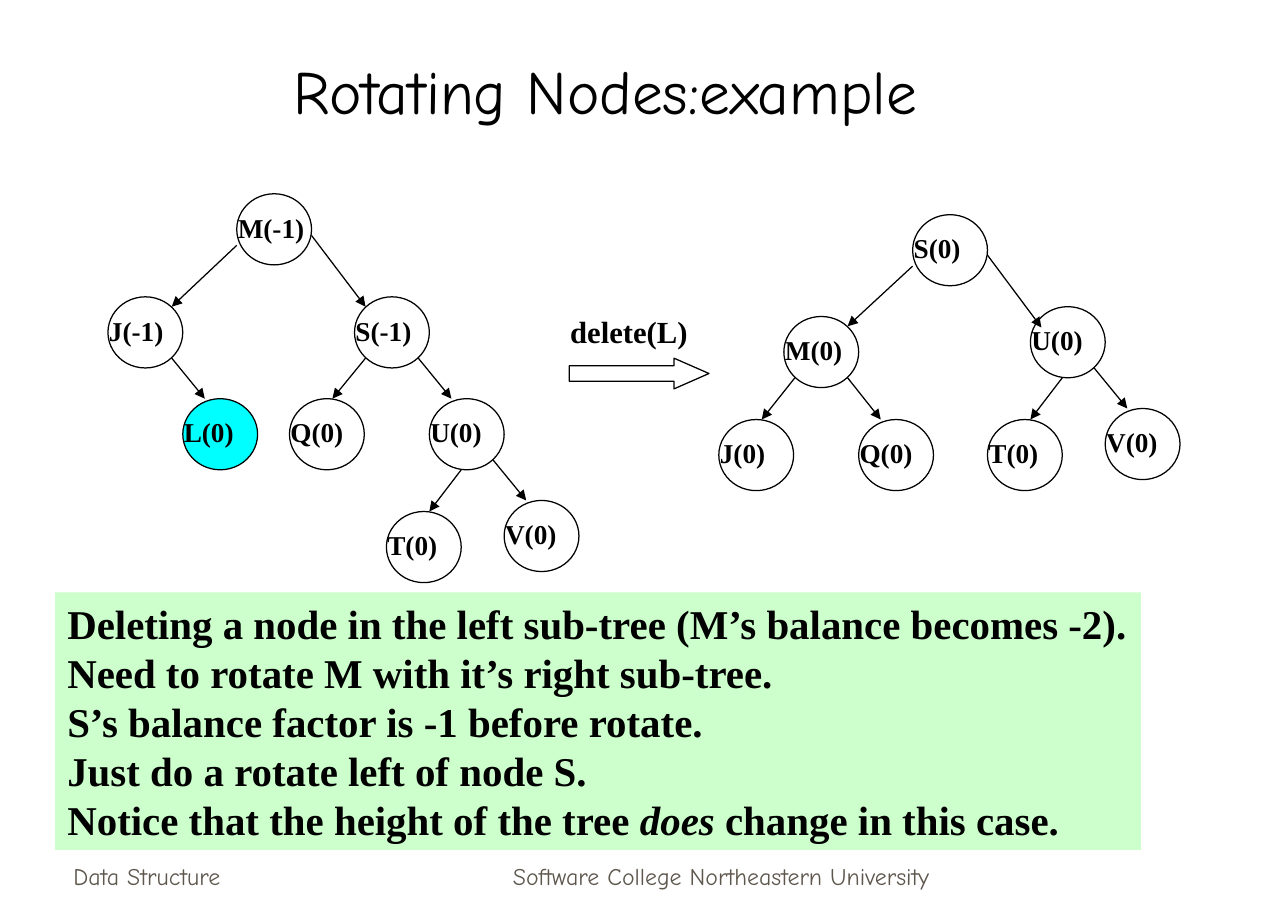
import pptx
import pptx.dml.color
import pptx.enum.shapes
import pptx.enum.text
import pptx.oxml.ns
import pptx.util
from lxml import etree
from pptx.util import Inches

SHAPE = pptx.enum.shapes.MSO_SHAPE
ALIGN = pptx.enum.text.PP_ALIGN
ANCHOR = pptx.enum.text.MSO_ANCHOR
AUTO_SIZE = pptx.enum.text.MSO_AUTO_SIZE
SERIF = "Times New Roman"
ROUND = "Comic Neue"
NODE_W, NODE_H = 0.61, 0.58
LABEL_WIDTHS = {
    "M(-1)": 0.75, "J(-1)": 0.65, "S(-1)": 0.66, "M(0)": 0.68, "S(0)": 0.59,
    "J(0)": 0.58, "Q(0)": 0.64, "L(0)": 0.61, "T(0)": 0.61, "U(0)": 0.63, "V(0)": 0.63,
}
# Start offset within the parent, end offset within the child
ROUTES = {
    "root left": ((0, 0.42), (0.52, 0.08)),
    "root right": ((NODE_W, 0.34), (0.09, 0.08)),
    "root right low": ((NODE_W, 0.33), (0.09, 0.17)),
    "left": ((0.09, 0.5), (0.35, 0)),
    "bottom left": ((0.26, NODE_H), (0.35, 0)),
    "right": ((0.52, 0.5), (0.18, 0)),
}
# Node label: left, top
TREE_BEFORE = {
    "M(-1)": (1.93, 1.58), "J(-1)": (0.88, 2.42), "S(-1)": (2.89, 2.42),
    "L(0)": (1.49, 3.25), "Q(0)": (2.36, 3.25), "U(0)": (3.5, 3.25),
    "T(0)": (3.15, 4.17), "V(0)": (4.11, 4.08),
}
EDGES_BEFORE = [
    ("M(-1)", "J(-1)", "root left"), ("M(-1)", "S(-1)", "root right"),
    ("J(-1)", "L(0)", "right"), ("S(-1)", "Q(0)", "left"), ("S(-1)", "U(0)", "right"),
    ("U(0)", "T(0)", "bottom left"), ("U(0)", "V(0)", "right"),
]
TREE_AFTER = {
    "S(0)": (7.44, 1.75), "M(0)": (6.39, 2.58), "U(0)": (8.4, 2.5),
    "J(0)": (5.86, 3.42), "Q(0)": (7, 3.42), "T(0)": (8.05, 3.42), "V(0)": (9.01, 3.33),
}
EDGES_AFTER = [
    ("S(0)", "M(0)", "root left"), ("S(0)", "U(0)", "root right low"),
    ("M(0)", "J(0)", "left"), ("M(0)", "Q(0)", "right"),
    ("U(0)", "T(0)", "bottom left"), ("U(0)", "V(0)", "right"),
]
EXPLANATION = [
    "Deleting a node in the left sub-tree (M’s balance becomes -2).",
    "Need to rotate M with it’s right sub-tree.",
    "S’s balance factor is -1 before rotate.",
    "Just do a rotate left of node S.",
    "Notice that the height of the tree *does* change in this case.",
]


def rgb(color):
    return pptx.dml.color.RGBColor.from_string(color)


def set_fill(sp, color):
    if color:
        sp.fill.solid()
        sp.fill.fore_color.rgb = rgb(color)
    else:
        sp.fill.background()


def set_line(sp):
    sp.line.color.rgb = rgb("000000")
    sp.line.width = pptx.util.Pt(0.75)


def add_text(slide, lines, x, y, w, h, *, size=16, font=SERIF, color="000000", bold=True,
             align=ALIGN.LEFT, anchor=ANCHOR.TOP, wrap=False, fill=None):
    """Add a text box with one paragraph per line; *stars* mark italics."""
    sp = slide.shapes.add_textbox(Inches(x), Inches(y), Inches(w), Inches(h))
    set_fill(sp, fill)
    tf = sp.text_frame
    tf.word_wrap = wrap
    tf.auto_size = AUTO_SIZE.NONE if wrap else AUTO_SIZE.SHAPE_TO_FIT_TEXT
    tf.vertical_anchor = anchor
    for i, line in enumerate(lines):
        p = tf.add_paragraph() if i else tf.paragraphs[0]
        p.alignment = align
        for j, part in enumerate(line.split("*")):
            r = p.add_run()
            r.text = part
            r.font.size = pptx.util.Pt(size)
            r.font.name = font
            r.font.bold = bold
            r.font.italic = j % 2 == 1
            r.font.color.rgb = rgb(color)


def add_outline(slide, kind, x, y, w, h, fill=None):
    sp = slide.shapes.add_shape(kind, Inches(x), Inches(y), Inches(w), Inches(h))
    sp.shadow.inherit = False
    set_fill(sp, fill)
    set_line(sp)
    return sp


def add_arrow(slide, x1, y1, x2, y2):
    line = slide.shapes.add_connector(
        pptx.enum.shapes.MSO_CONNECTOR.STRAIGHT, Inches(x1), Inches(y1), Inches(x2), Inches(y2))
    set_line(line)
    qn = pptx.oxml.ns.qn
    etree.SubElement(line.line._get_or_add_ln(), qn("a:tailEnd"), type="triangle")
    etree.SubElement(line._element.spPr, qn("a:effectLst"))


def add_tree(slide, nodes, edges, marked=None):
    for label, (x, y) in nodes.items():
        add_outline(slide, SHAPE.OVAL, x, y, NODE_W, NODE_H,
                    fill="00FFFF" if label == marked else None)
        add_text(slide, [label], x - 0.09, y + 0.09, LABEL_WIDTHS[label], 0.37)
    for parent, child, route in edges:
        (dx1, dy1), (dx2, dy2) = ROUTES[route]
        (x1, y1), (x2, y2) = nodes[parent], nodes[child]
        add_arrow(slide, x1 + dx1, y1 + dy1, x2 + dx2, y2 + dy2)


def main():
    prs = pptx.Presentation()
    prs.slide_width, prs.slide_height = Inches(10.5), Inches(7.5)
    slide = prs.slides.add_slide(prs.slide_layouts[6])

    footer = dict(size=14, font=ROUND, color="5E574E", bold=False, anchor=ANCHOR.BOTTOM, wrap=True)
    add_text(slide, ["Data Structure"], 0.5, 6.81, 2.19, 0.5, **footer)
    add_text(slide, ["Software College Northeastern University"], 3.59, 6.81, 4.58, 0.5,
             align=ALIGN.CENTER, **footer)
    add_text(slide, ["Rotating Nodes:example"], 0.47, 0.25, 8.93, 0.83, size=36, font=ROUND,
             bold=False, align=ALIGN.CENTER, anchor=ANCHOR.BOTTOM, wrap=True)

    add_tree(slide, TREE_BEFORE, EDGES_BEFORE, marked="L(0)")
    delete_arrow = add_outline(slide, SHAPE.RIGHT_ARROW, 4.64, 2.92, 1.14, 0.25)
    delete_arrow.adjustments[1] = 1.14
    add_text(slide, ["delete(L)"], 4.55, 2.5, 1.16, 0.4, size=18)
    add_tree(slide, TREE_AFTER, EDGES_AFTER)

    add_text(slide, EXPLANATION, 0.45, 4.83, 8.85, 2.1, size=24, fill="CCFFCC")
    prs.save("out.pptx")


if __name__ == "__main__":
    main()
